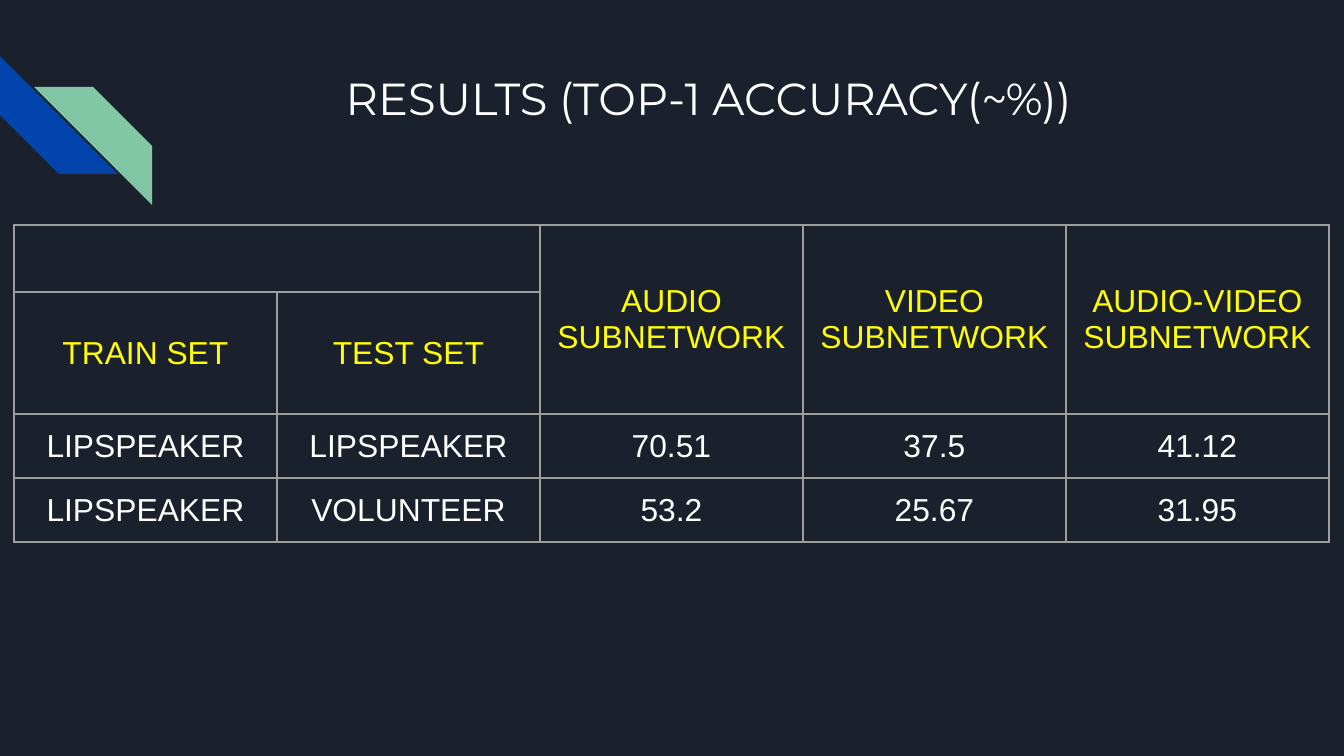
from dataclasses import dataclass

from lxml import etree
from pptx import Presentation
from pptx import util as u
from pptx.dml import color as dml
from pptx.enum import shapes, text
from pptx.oxml import ns

EMU_PER_INCH = 914400
PX_PER_INCH = 134.4


@dataclass(frozen=True)
class Theme:
    background: str = "1B212C"
    blue: str = "0145AC"
    green: str = "82C7A5"
    border: str = "9E9E9E"
    heading: str = "FFFF00"
    light: str = "FFFFFF"
    title_font: str = "Montserrat"
    table_font: str = "Arial"
    title_size: int = 24
    table_size: int = 17
    border_width: float = 0.75


@dataclass(frozen=True)
class Stripe:
    left: int
    top: int
    rotation: int
    color: str


@dataclass(frozen=True)
class Merge:
    first: tuple[int, int]
    last: tuple[int, int]


THEME = Theme()
INSET = 13
STRIPE_SIZE = 118
STRIPES = [
    Stripe(0, 56, 270, THEME.blue),
    Stripe(34, 87, 90, THEME.green),
]
COLUMN_WIDTH = 263
ROW_HEIGHTS = [67, 122, 58, 58]
HEADER_ROWS = 2
RESULTS = [
    ["", "", "AUDIO SUBNETWORK", "VIDEO SUBNETWORK", "AUDIO-VIDEO SUBNETWORK"],
    ["TRAIN SET", "TEST SET", "", "", ""],
    ["LIPSPEAKER", "LIPSPEAKER", "70.51", "37.5", "41.12"],
    ["LIPSPEAKER", "VOLUNTEER", "53.2", "25.67", "31.95"],
]
MERGES = [Merge((0, 0), (0, 1))] + [Merge((0, c), (1, c)) for c in range(2, 5)]


def px(length: int) -> u.Emu:
    return u.Emu(round(length * EMU_PER_INCH / PX_PER_INCH))


def rgb(color: str) -> dml.RGBColor:
    return dml.RGBColor.from_string(color)


def write_text(frame, content: str, font: str, size: int, color: str) -> None:
    frame.text = content
    paragraph = frame.paragraphs[0]
    paragraph.alignment = text.PP_ALIGN.CENTER
    for run in paragraph.runs:
        run.font.name = font
        run.font.size = u.Pt(size)
        run.font.color.rgb = rgb(color)


def set_insets(target) -> None:
    target.margin_left = target.margin_right = px(INSET)
    target.margin_top = target.margin_bottom = px(INSET)


def add_stripe(slide, stripe: Stripe) -> None:
    shape = slide.shapes.add_shape(
        shapes.MSO_SHAPE.DIAGONAL_STRIPE,
        px(stripe.left), px(stripe.top), px(STRIPE_SIZE), px(STRIPE_SIZE))
    shape.adjustments[0] = 0.5
    shape.rotation = stripe.rotation
    shape.shadow.inherit = False
    shape.fill.solid()
    shape.fill.fore_color.rgb = rgb(stripe.color)
    shape.line.fill.background()


def add_title(slide, content: str) -> None:
    frame = slide.shapes.add_textbox(px(191), px(58), px(1035), px(134)).text_frame
    frame.word_wrap = True
    set_insets(frame)
    write_text(frame, content, THEME.title_font, THEME.title_size, THEME.light)


def set_borders(cell) -> None:
    properties = cell._tc.get_or_add_tcPr()
    for position, side in enumerate(("a:lnL", "a:lnR", "a:lnT", "a:lnB")):
        line = etree.Element(ns.qn(side), w=str(u.Pt(THEME.border_width)))
        fill = etree.SubElement(line, ns.qn("a:solidFill"))
        etree.SubElement(fill, ns.qn("a:srgbClr"), val=THEME.border)
        properties.insert(position, line)


def add_results_table(slide) -> None:
    columns = len(RESULTS[0])
    table = slide.shapes.add_table(
        len(RESULTS), columns, px(14), px(225),
        px(COLUMN_WIDTH * columns), px(sum(ROW_HEIGHTS))).table
    table.first_row = table.horz_banding = False
    for column in table.columns:
        column.width = px(COLUMN_WIDTH)
    for row, height in zip(table.rows, ROW_HEIGHTS):
        row.height = px(height)
    for merge in MERGES:
        table.cell(*merge.first).merge(table.cell(*merge.last))

    for row_index, values in enumerate(RESULTS):
        color = THEME.heading if row_index < HEADER_ROWS else THEME.light
        for column_index, value in enumerate(values):
            cell = table.cell(row_index, column_index)
            cell.fill.background()
            if cell.is_spanned:
                continue
            cell.vertical_anchor = text.MSO_ANCHOR.MIDDLE
            set_insets(cell)
            set_borders(cell)
            write_text(cell.text_frame, value, THEME.table_font,
                       THEME.table_size, color)


def main() -> None:
    presentation = Presentation()
    presentation.slide_width, presentation.slide_height = px(1344), px(756)
    slide = presentation.slides.add_slide(presentation.slide_layouts[6])
    slide.background.fill.solid()
    slide.background.fill.fore_color.rgb = rgb(THEME.background)

    # Corner decoration
    for stripe in STRIPES:
        add_stripe(slide, stripe)

    # Title and accuracy table
    add_title(slide, "RESULTS (TOP-1 ACCURACY(~%))")
    add_results_table(slide)
    presentation.save("out.pptx")


if __name__ == "__main__":
    main()
